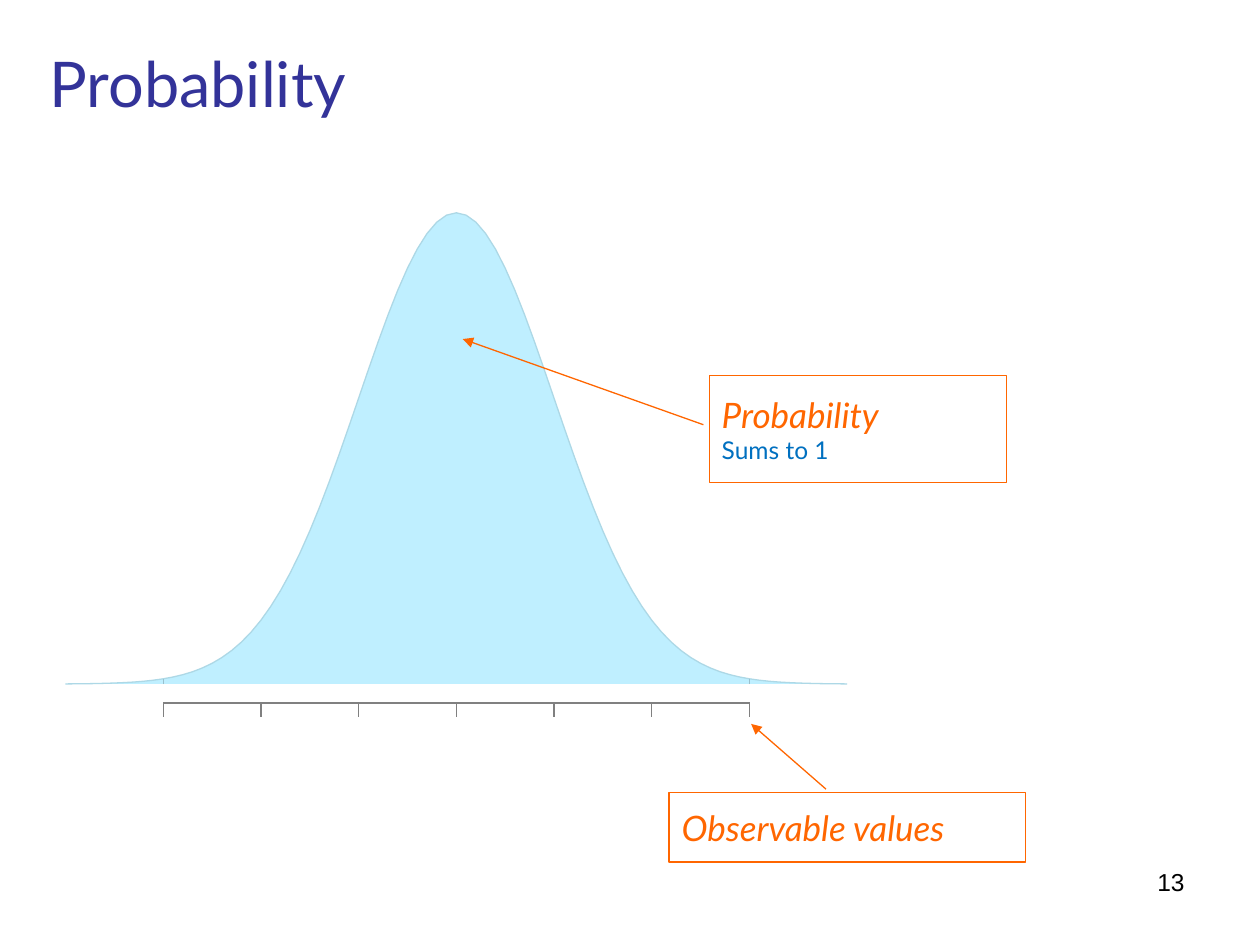
from math import exp

from lxml.etree import SubElement
from pptx import Presentation
from pptx.dml.color import RGBColor
from pptx.enum.shapes import MSO_CONNECTOR, MSO_SHAPE
from pptx.enum.text import MSO_ANCHOR, PP_ALIGN
from pptx.oxml.ns import qn
from pptx.util import Cm, Pt

COLORS = {
    "title": "333399", "text": "000000", "accent": "FF6600", "note": "0070C0",
    "area": "BFEFFF", "curve": "ADD8E6", "limit": "9AC0CD", "axis": "808080",
}

# A paragraph is (text, font, size, colour, italic); boxes are in cm.
TITLE = [("Probability", "Lato", 36, "title", False)]
NUMBER = [("13", "Arial", 14, "text", False)]
CALLOUTS = [
    {"box": (13.49, 15.98, 7.19, 1.4), "pointer": (-0.05, 0.44, -0.99, 0.23),
     "paras": [("Observable values", "Lato", 20, "accent", True)]},
    {"box": (14.3, 7.57, 5.99, 2.16), "pointer": (0.46, -0.02, -0.34, -0.83),
     "paras": [("Probability", "Lato", 20, "accent", True),
               ("Sums to 1", "Lato", 14, "note", False)]},
]

# Normal curve and its axis, in cm
MEAN, SIGMA = 9.2, 1.97
BASE, PEAK = 13.79, 9.5
AXIS, TICK = 14.17, 0.28
REACH, STEPS = 4, 10      # standard deviations each side, points in each


def rgb(name):
    return RGBColor.from_string(COLORS[name])


def style_line(sp, color):
    sp.line.color.rgb = rgb(color)
    sp.line.width = Pt(0.75)


def write(sp, paras, anchor, align=PP_ALIGN.LEFT):
    tf = sp.text_frame
    tf.word_wrap = True
    tf.vertical_anchor = anchor
    for i, (text, font, size, color, italic) in enumerate(paras):
        p = tf.paragraphs[0] if i == 0 else tf.add_paragraph()
        p.alignment = align
        r = p.add_run()
        r.text = text
        r.font.name, r.font.size, r.font.italic = font, Pt(size), italic
        r.font.color.rgb = rgb(color)


def add_text(s, box, paras, anchor, align=PP_ALIGN.LEFT):
    sp = s.shapes.add_textbox(*map(Cm, box))
    write(sp, paras, anchor, align)
    return sp


def add_line(s, x1, y1, x2, y2, color):
    sp = s.shapes.add_connector(MSO_CONNECTOR.STRAIGHT, *map(Cm, (x1, y1, x2, y2)))
    style_line(sp, color)
    SubElement(sp._element.spPr, qn("a:effectLst"))


def height(z):
    """Curve height in cm at z standard deviations from the mean."""
    return PEAK * exp(-z * z / 2)


def add_curve(s, closed):
    zs = [i / STEPS for i in range(-REACH * STEPS, REACH * STEPS + 1)]
    points = [(Cm(MEAN + z * SIGMA), Cm(BASE - height(z))) for z in zs]
    fb = s.shapes.build_freeform(*points[0])
    fb.add_line_segments(points[1:], close=closed)
    sp = fb.convert_to_shape()
    sp.shadow.inherit = False
    return sp


def add_distribution(s):
    area = add_curve(s, closed=True)
    area.fill.solid()
    area.fill.fore_color.rgb = rgb("area")
    area.line.fill.background()

    add_line(s, MEAN - 3 * SIGMA, AXIS, MEAN + 3 * SIGMA, AXIS, "axis")
    for z in range(-3, 4):
        x = MEAN + z * SIGMA
        add_line(s, x, AXIS, x, AXIS + TICK, "axis")

    outline = add_curve(s, closed=False)
    outline.fill.background()
    style_line(outline, "curve")
    for z in (-3, 3):
        x = MEAN + z * SIGMA
        add_line(s, x, BASE, x, BASE - height(z), "limit")


def add_callout(s, box, pointer, paras):
    sp = s.shapes.add_shape(MSO_SHAPE.LINE_CALLOUT_1, *map(Cm, box))
    for i, value in enumerate(pointer):
        sp.adjustments[i] = value
    sp.shadow.inherit = False
    sp.fill.background()
    style_line(sp, "accent")
    SubElement(sp.line._get_or_add_ln(), qn("a:tailEnd"), type="triangle")
    write(sp, paras, MSO_ANCHOR.MIDDLE)


def main():
    prs = Presentation()
    prs.slide_width, prs.slide_height = Cm(25.4), Cm(19.05)
    s = prs.slides.add_slide(prs.slide_layouts[6])
    title = add_text(s, (0, 0, 25.4, 3.33), TITLE, MSO_ANCHOR.MIDDLE)
    title.text_frame.margin_left = Cm(1)
    add_text(s, (18.21, 17.35, 5.92, 1.32), NUMBER, MSO_ANCHOR.TOP, PP_ALIGN.RIGHT)
    add_distribution(s)
    for callout in CALLOUTS:
        add_callout(s, **callout)
    prs.save("out.pptx")


if __name__ == "__main__":
    main()
